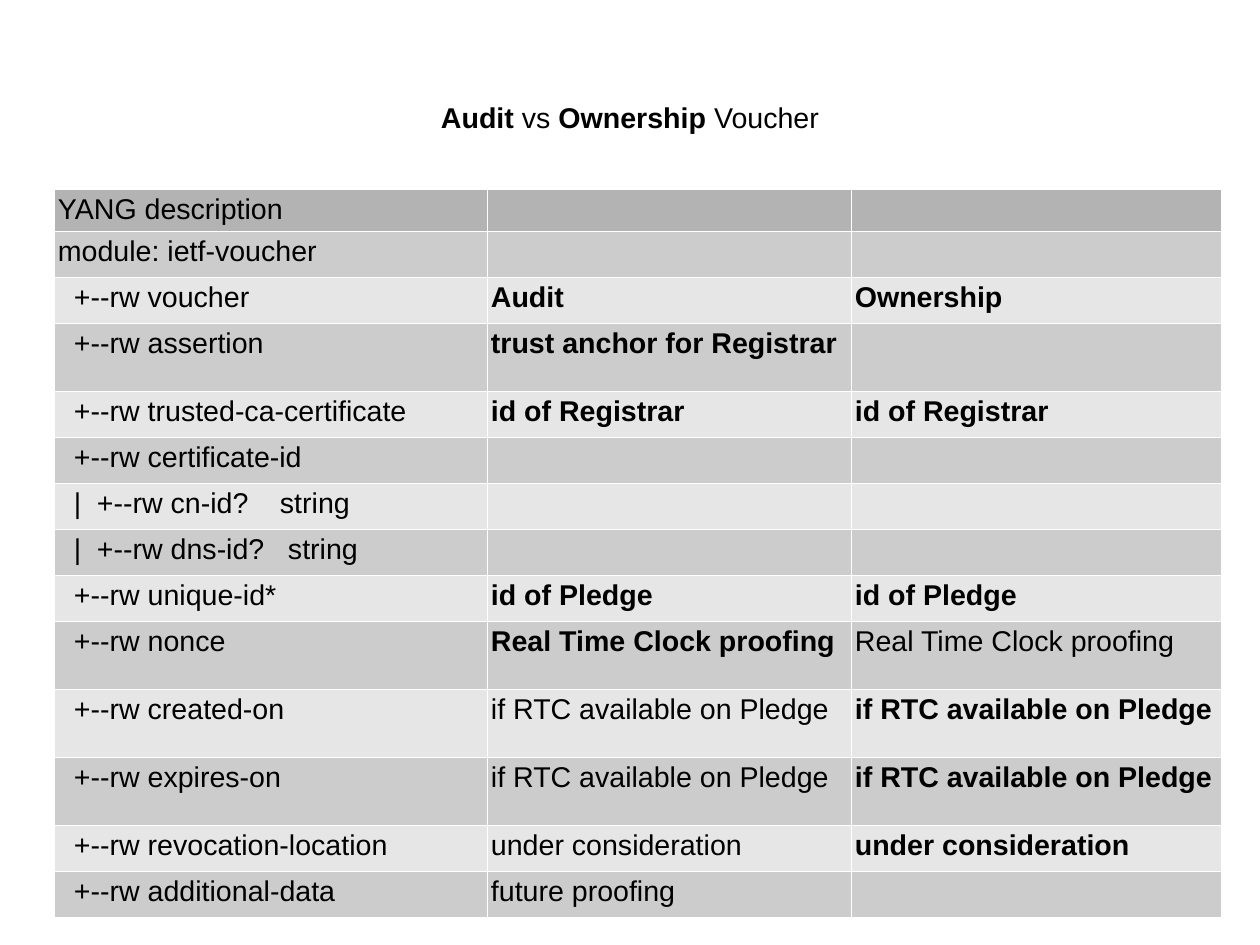
from lxml import etree
from pptx import Presentation
from pptx import util as u
from pptx.dml import color
from pptx.enum import text
from pptx.oxml import ns

PX = 8000  # EMU per px
FONT, SIZE = "Arial", 18


def rgb(code):
    return color.RGBColor.from_string(code)


def add_run(para, words, bold):
    run = para.add_run()
    run.text = words
    run.font.name = FONT
    run.font.size = u.Pt(SIZE)
    run.font.bold = bold
    run.font.color.rgb = rgb("000000")


prs = Presentation()
prs.slide_width, prs.slide_height = 1260 * PX, 945 * PX
slide = prs.slides.add_slide(prs.slide_layouts[5])

# Title
title = slide.shapes.title
title.left, title.top, title.width, title.height = [n * PX for n in (63, 38, 1134, 158)]
frame = title.text_frame
frame.word_wrap = True
frame.vertical_anchor = text.MSO_ANCHOR.MIDDLE
head = frame.paragraphs[0]
head.alignment = text.PP_ALIGN.CENTER
for words, bold in [("Audit ", True), ("vs", False), (" Ownership", True), (" Voucher", False)]:
    add_run(head, words, bold)

# Rows: height, label, audit, ownership; a leading "!" marks bold
LOW, TALL = 46, 68
rows = [
    (42, "YANG description", "", ""),
    (LOW, "module: ietf-voucher", "", ""),
    (LOW, "+--rw voucher", "!Audit", "!Ownership"),
    (TALL, "+--rw assertion", "!trust anchor for Registrar", ""),
    (LOW, "+--rw trusted-ca-certificate", "!id of Registrar", "!id of Registrar"),
    (LOW, "+--rw certificate-id", "", ""),
    (LOW, "|\t+--rw cn-id?\tstring", "", ""),
    (LOW, "|\t+--rw dns-id?\tstring", "", ""),
    (LOW, "+--rw unique-id*", "!id of Pledge", "!id of Pledge"),
    (TALL, "+--rw nonce", "!Real Time Clock proofing", "Real Time Clock proofing"),
    (TALL, "+--rw created-on", "if RTC available on Pledge", "!if RTC available on Pledge"),
    (TALL, "+--rw expires-on", "if RTC available on Pledge", "!if RTC available on Pledge"),
    (LOW, "+--rw revocation-location", "under consideration", "!under consideration"),
    (LOW, "+--rw additional-data", "future proofing", ""),
]
cols = [433, 364, 370]
stops = {6: (23, 206), 7: (23, 214)}  # tab stops by row

high = sum(row[0] for row in rows)
table = slide.shapes.add_table(
    len(rows), len(cols), 54 * PX, 189 * PX, sum(cols) * PX, high * PX).table
table.first_row = table.horz_banding = False
for col, wide in zip(table.columns, cols):
    col.width = wide * PX

for r, (tall, *cells) in enumerate(rows):
    table.rows[r].height = tall * PX
    fill = "B3B3B3" if r == 0 else ("E6E6E6", "CCCCCC")[r % 2]
    for c, words in enumerate(cells):
        cell = table.cell(r, c)
        nested = c == 0 and r > 1
        cell.margin_left = (20 if nested else 4) * PX
        cell.margin_right = 4 * PX
        cell.margin_top = cell.margin_bottom = 5 * PX
        cell.fill.solid()
        cell.fill.fore_color.rgb = rgb(fill)

        props = cell._tc.get_or_add_tcPr()
        for i, side in enumerate(("lnL", "lnR", "lnT", "lnB")):
            line = etree.Element(ns.qn("a:" + side), w="762")
            paint = etree.SubElement(line, ns.qn("a:solidFill"))
            etree.SubElement(paint, ns.qn("a:srgbClr"), val="FFFFFF")
            props.insert(i, line)

        para = cell.text_frame.paragraphs[0]
        if words:
            add_run(para, words.lstrip("!"), words.startswith("!"))
        else:
            end = etree.SubElement(para._p, ns.qn("a:endParaRPr"), sz=str(SIZE * 100))
            etree.SubElement(end, ns.qn("a:latin"), typeface=FONT)
        if c == 0 and r in stops:
            tabs = etree.SubElement(para._p.get_or_add_pPr(), ns.qn("a:tabLst"))
            for stop in stops[r]:
                etree.SubElement(tabs, ns.qn("a:tab"), pos=str(stop * PX), algn="l")

prs.save("out.pptx")
